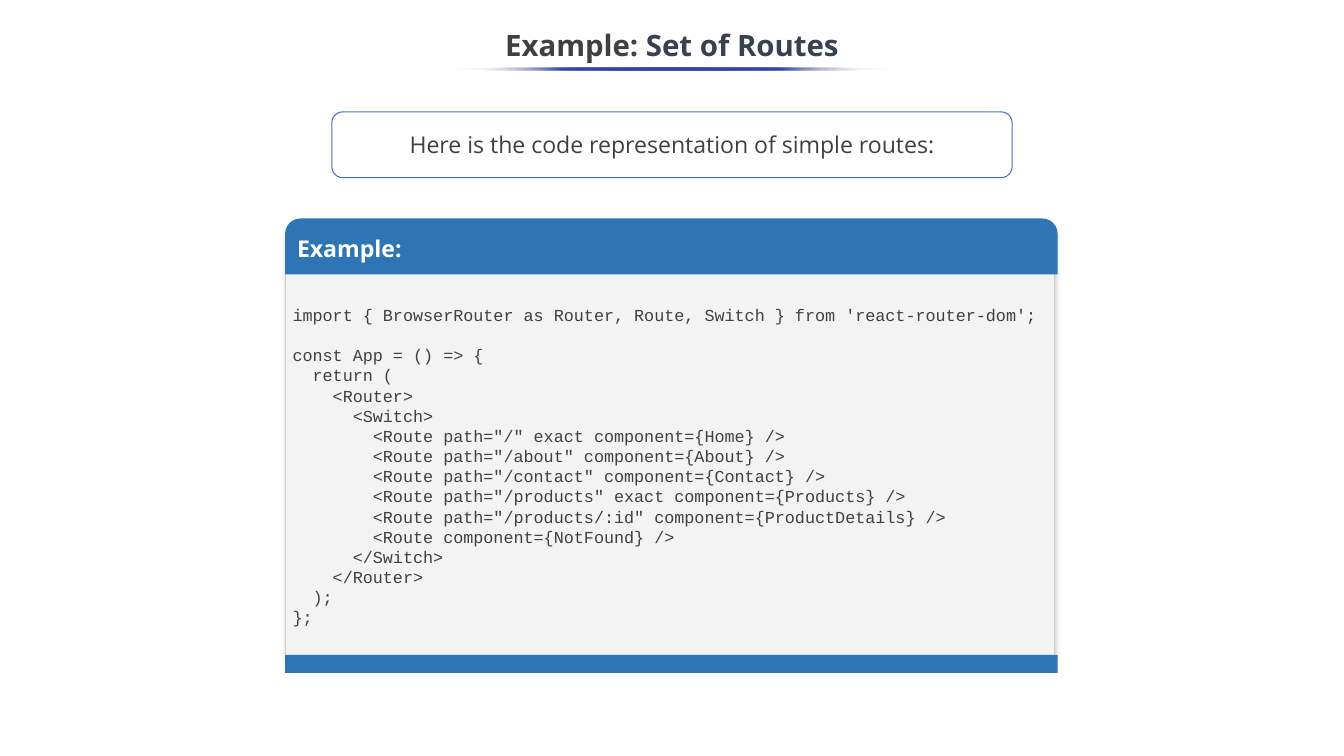
import dataclasses

import lxml.etree
import pptx
import pptx.dml.color
import pptx.enum.shapes
import pptx.enum.text
import pptx.oxml
import pptx.oxml.ns
import pptx.util

Cm = pptx.util.Cm
Pt = pptx.util.Pt
SHAPE = pptx.enum.shapes.MSO_SHAPE
ALIGN = pptx.enum.text.PP_ALIGN
ANCHOR = pptx.enum.text.MSO_ANCHOR


@dataclasses.dataclass(frozen=True)
class Theme:
    sans: str = "Open Sans"
    mono: str = "Courier New"
    text: str = "404040"
    topic: str = "374151"
    white: str = "FFFFFF"
    outline: str = "4472C4"
    bar: str = "2E75B5"
    code_fill: str = "F3F3F3"
    code_line: str = "CCCCCC"
    underline: str = "3645A9"
    title_size: float = 28
    body_size: float = 22
    code_size: float = 16
    code_leading: float = 19.2


THEME = Theme()

CODE = """import { BrowserRouter as Router, Route, Switch } from 'react-router-dom';

const App = () => {
  return (
    <Router>
      <Switch>
        <Route path="/" exact component={Home} />
        <Route path="/about" component={About} />
        <Route path="/contact" component={Contact} />
        <Route path="/products" exact component={Products} />
        <Route path="/products/:id" component={ProductDetails} />
        <Route component={NotFound} />
      </Switch>
    </Router>
  );
};"""


def rgb(value):
    return pptx.dml.color.RGBColor.from_string(value)


def format_run(run, font, size, color, bold=False):
    run.font.name = font
    run.font.size = Pt(size)
    run.font.color.rgb = rgb(color)
    run.font.bold = bold


def add_block(shapes, kind, box, fill, line=None, line_width=1):
    block = shapes.add_shape(kind, *(Cm(length) for length in box))
    block.shadow.inherit = False
    block.fill.solid()
    block.fill.fore_color.rgb = rgb(fill)
    if line:
        block.line.color.rgb = rgb(line)
        block.line.width = Pt(line_width)
    else:
        block.line.fill.background()
    block.text_frame.word_wrap = True
    block.text_frame.vertical_anchor = ANCHOR.MIDDLE
    return block


def fade_ends(block, color, end_color):
    properties = block.fill._xPr
    solid = properties.find(pptx.oxml.ns.qn("a:solidFill"))
    stops = "".join(
        f'<a:gs pos="{position * 1000}"><a:srgbClr val="{stop_color}">'
        f'<a:alpha val="{alpha * 1000}"/></a:srgbClr></a:gs>'
        for position, stop_color, alpha in (
            (0, end_color, 0), (25, color, 100), (50, color, 100),
            (75, color, 100), (100, end_color, 0))
    )
    gradient = pptx.oxml.parse_xml(
        f'<a:gradFill {pptx.oxml.ns.nsdecls("a")}><a:gsLst>{stops}</a:gsLst>'
        '<a:lin ang="10800000" scaled="0"/></a:gradFill>')
    properties.replace(solid, gradient)


def add_soft_shadow(block):
    qn = pptx.oxml.ns.qn
    effects = block._element.spPr.find(qn("a:effectLst"))
    shadow = lxml.etree.SubElement(
        effects, qn("a:outerShdw"), blurRad=str(Pt(4.5)), dist=str(Pt(1.5)),
        dir=str(47 * 60000), algn="tl", rotWithShape="0")
    color = lxml.etree.SubElement(shadow, qn("a:srgbClr"), val="000000")
    lxml.etree.SubElement(color, qn("a:alpha"), val="20000")


def place_title(slide, box):
    left, top, width, height = box
    title = slide.shapes.title
    title.left, title.top = Cm(left), Cm(top)
    title.width, title.height = Cm(width), Cm(height)
    frame = title.text_frame
    frame.auto_size = pptx.enum.text.MSO_AUTO_SIZE.NONE
    frame.word_wrap = True
    frame.vertical_anchor = ANCHOR.MIDDLE
    heading = frame.paragraphs[0]
    heading.alignment = ALIGN.CENTER
    heading.line_spacing = 0.9
    for words, color in (("Example: ", THEME.text), ("Set of Routes", THEME.topic)):
        run = heading.add_run()
        run.text = words
        format_run(run, THEME.sans, THEME.title_size, color, bold=True)

    rule_width = 14.66
    underline = add_block(
        slide.shapes, SHAPE.OVAL,
        (left + (width - rule_width) / 2, top + 1.62, rule_width, 0.1), THEME.underline)
    fade_ends(underline, THEME.underline, THEME.white)


def place_intro(slide, box):
    intro = add_block(slide.shapes, SHAPE.ROUNDED_RECTANGLE, box, THEME.white, THEME.outline)
    intro.text_frame.text = "Here is the code representation of simple routes:"
    sentence = intro.text_frame.paragraphs[0]
    sentence.alignment = ALIGN.CENTER
    format_run(sentence.runs[0], THEME.sans, THEME.body_size, THEME.text)


def write_code(frame, code):
    frame.vertical_anchor = ANCHOR.TOP
    frame.margin_left = frame.margin_right = Cm(0.25)
    frame.margin_top = Cm(2.44)
    paragraph = None
    for line in code.splitlines():
        if not line:
            paragraph.space_after = Pt(THEME.code_leading)
            continue
        paragraph = frame.add_paragraph() if paragraph else frame.paragraphs[0]
        paragraph.text = line
        paragraph.alignment = ALIGN.LEFT
        paragraph.line_spacing = Pt(THEME.code_leading)
        format_run(paragraph.runs[0], THEME.mono, THEME.code_size, THEME.text)


def place_code_panel(slide, box):
    left, top, width, height = box
    header_height, footer_height, body_offset = 1.88, 0.61, 0.46
    panel = slide.shapes.add_group_shape().shapes

    body = add_block(
        panel, SHAPE.RECTANGLE,
        (left, top + body_offset, width - 0.1, height - body_offset - footer_height + 0.05),
        THEME.code_fill, THEME.code_line, 0.75)
    add_soft_shadow(body)
    write_code(body.text_frame, CODE)

    header = add_block(
        panel, SHAPE.ROUND_2_SAME_RECTANGLE, (left, top, width, header_height), THEME.bar)
    header.adjustments[0] = 0.275
    header.adjustments[1] = 0
    header.text_frame.text = "Example:"
    label = header.text_frame.paragraphs[0]
    label.alignment = ALIGN.LEFT
    format_run(label.runs[0], THEME.sans, THEME.body_size, THEME.white, bold=True)

    add_block(
        panel, SHAPE.RECTANGLE,
        (left, top + height - footer_height, width, footer_height), THEME.bar)


def main():
    presentation = pptx.Presentation()
    presentation.slide_width = Cm(45.16)
    presentation.slide_height = Cm(25.4)
    slide = presentation.slides.add_slide(presentation.slide_layouts[5])
    place_title(slide, (-0.03, 0.64, 45.21, 1.9))
    place_intro(slide, (11.15, 3.76, 22.86, 2.21))
    place_code_panel(slide, (9.58, 7.34, 25.96, 15.27))
    presentation.save("out.pptx")


if __name__ == "__main__":
    main()
